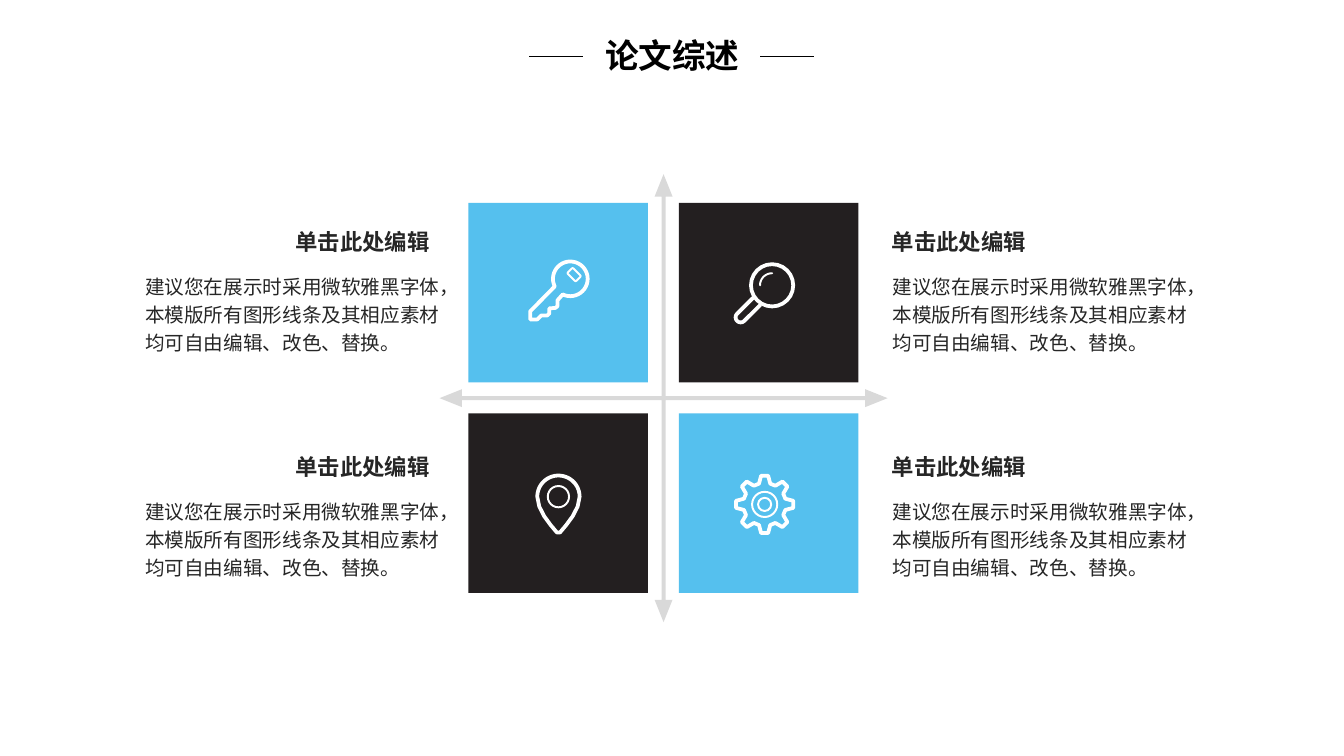
from dataclasses import dataclass
from math import cos, radians, sin

from lxml.etree import SubElement
from pptx import Presentation
from pptx.dml.color import RGBColor
from pptx.enum.shapes import MSO_CONNECTOR, MSO_SHAPE
from pptx.enum.text import MSO_AUTO_SIZE, PP_ALIGN
from pptx.oxml.ns import qn
from pptx.shapes.autoshape import Shape
from pptx.slide import Slide
from pptx.util import Pt

Point = tuple[float, float]

FONT = "Noto Sans CJK SC"
WHITE = RGBColor(0xFF, 0xFF, 0xFF)
BLACK = RGBColor(0x00, 0x00, 0x00)
BLUE = RGBColor(0x55, 0xC0, 0xEE)
DARK = RGBColor(0x23, 0x1F, 0x20)
GRAY = RGBColor(0xD9, 0xD9, 0xD9)
INK = RGBColor(0x26, 0x26, 0x26)

HEADING = "单击此处编辑"
DESCRIPTION = "建议您在展示时采用微软雅黑字体，本模版所有图形线条及其相应素材均可自由编辑、改色、替换。"

TILE_LEFT, TILE_TOP, TILE_SIZE, TILE_PITCH = 334.6, 145, 128.2, 150.3
TEXT_PITCH = 160.8
THICK, THIN = 2.7, 1.4


@dataclass(frozen=True)
class Tile:
    column: int
    row: int
    color: RGBColor


@dataclass(frozen=True)
class TextColumn:
    heading_left: float
    description_left: float
    description_width: float
    align: PP_ALIGN


@dataclass(frozen=True)
class Ring:
    x: float
    y: float
    radius: float
    weight: float


@dataclass(frozen=True)
class Outline:
    points: list[Point]
    weight: float
    closed: bool


def arc(x: float, y: float, radius: float, start: float, end: float) -> list[Point]:
    steps = 36
    angles = [radians(start + (end - start) * step / steps) for step in range(steps + 1)]
    return [(x + radius * cos(angle), y + radius * sin(angle)) for angle in angles]


def gear(x: float, y: float) -> list[Point]:
    tooth = [(-4, -14.8), (-2.5, -20.5), (2.5, -20.5), (4, -14.8)]
    turns = [radians(45 * number) for number in range(8)]
    return [
        (x + across * cos(turn) - up * sin(turn), y + across * sin(turn) + up * cos(turn))
        for turn in turns
        for across, up in tooth
    ]


def pin(x: float, y: float) -> list[Point]:
    side = [(13.68, 7.06), (10.15, 13.97), (5.54, 20.3), (1.08, 25.56)]
    right = [(x + across, y + down) for across, down in side]
    left = [(x - across, y + down) for across, down in reversed(side)]
    return arc(x, y, 15.12, 180, 360) + right + left


KEY_TEETH = [
    (378.7, 222.5), (378.7, 228.2), (383.8, 228.2), (386.6, 225.4), (391, 225.4),
    (392.4, 223.9), (392.4, 220.3), (396.7, 220), (398.2, 218.9), (398.2, 214.6),
]

RINGS = [
    Ring(551.5, 203.8, 15.1, THICK),
    Ring(398.9, 354.8, 7.6, THIN),
    Ring(546.2, 360.3, 9, THIN),
    Ring(546.2, 360.3, 4.7, THIN),
]

OUTLINES = [
    Outline(arc(407.4, 199.2, 12.4, 116, -206) + KEY_TEETH, THICK, True),
    Outline(
        [(537.9, 212.8)] + arc(529.1, 226.7, 3.6, 225, 45) + [(543.2, 217.8)],
        THICK,
        False,
    ),
    Outline(arc(551.5, 203.8, 8.6, 180, 270), THIN, False),
    Outline(pin(398.9, 354.8), THICK, True),
    Outline(gear(546.2, 360.3), THICK, True),
]

TILES = [Tile(0, 0, BLUE), Tile(1, 0, DARK), Tile(0, 1, DARK), Tile(1, 1, BLUE)]

TEXT_COLUMNS = [
    TextColumn(202.3, 96.5, 226.8, PP_ALIGN.RIGHT),
    TextColumn(630, 630.4, 230.4, PP_ALIGN.LEFT),
]


def add_solid(
    slide: Slide, kind: MSO_SHAPE, left: float, top: float, size: float, color: RGBColor
) -> Shape:
    shape = slide.shapes.add_shape(kind, Pt(left), Pt(top), Pt(size), Pt(size))
    shape.shadow.inherit = False
    shape.fill.solid()
    shape.fill.fore_color.rgb = color
    shape.line.fill.background()
    return shape


def stroke(shape: Shape, weight: float) -> None:
    shape.shadow.inherit = False
    shape.fill.background()
    shape.line.color.rgb = WHITE
    shape.line.width = Pt(weight)
    line = shape.line._get_or_add_ln()
    line.set("cap", "rnd")
    SubElement(line, qn("a:round"))


def add_ring(slide: Slide, ring: Ring) -> None:
    size = Pt(2 * ring.radius)
    left, top = Pt(ring.x - ring.radius), Pt(ring.y - ring.radius)
    stroke(slide.shapes.add_shape(MSO_SHAPE.OVAL, left, top, size, size), ring.weight)


def add_outline(slide: Slide, outline: Outline) -> None:
    vertices = [(Pt(x), Pt(y)) for x, y in outline.points]
    builder = slide.shapes.build_freeform(*vertices[0])
    builder.add_line_segments(vertices[1:], close=outline.closed)
    stroke(builder.convert_to_shape(), outline.weight)


def add_text(
    slide: Slide, text: str, left: float, top: float, width: float, height: float, *,
    size: float, color: RGBColor = INK, bold: bool = False, wrap: bool = True,
    align: PP_ALIGN = PP_ALIGN.LEFT, line_spacing: float = 1, space_before: float = 0,
) -> None:
    shape = slide.shapes.add_textbox(Pt(left), Pt(top), Pt(width), Pt(height))
    frame = shape.text_frame
    frame.word_wrap = wrap
    frame.auto_size = MSO_AUTO_SIZE.SHAPE_TO_FIT_TEXT
    paragraph = frame.paragraphs[0]
    paragraph.alignment = align
    paragraph.line_spacing = line_spacing
    paragraph.space_before = Pt(space_before)
    run = paragraph.add_run()
    run.text = text
    run.font.size = Pt(size)
    run.font.bold = bold
    run.font.color.rgb = color
    run.font.name = FONT
    SubElement(run.font._element, qn("a:ea")).set("typeface", FONT)


def add_title_rule(slide: Slide, left: float) -> None:
    rule = slide.shapes.add_connector(
        MSO_CONNECTOR.STRAIGHT, Pt(left), Pt(40.2), Pt(left + 38.5), Pt(40.2)
    )
    rule.line.color.rgb = BLACK
    rule.line.width = Pt(1)
    SubElement(rule._element.spPr, qn("a:effectLst"))


def main() -> None:
    presentation = Presentation()
    presentation.slide_width, presentation.slide_height = Pt(960), Pt(540)
    slide = presentation.slides.add_slide(presentation.slide_layouts[6])

    axes = add_solid(slide, MSO_SHAPE.QUAD_ARROW, 314, 124.4, 320, GRAY)
    for index, value in enumerate((0.009, 0.02, 0.05)):
        axes.adjustments[index] = value

    for tile in TILES:
        left, top = TILE_LEFT + tile.column * TILE_PITCH, TILE_TOP + tile.row * TILE_PITCH
        add_solid(slide, MSO_SHAPE.RECTANGLE, left, top, TILE_SIZE, tile.color)
        column = TEXT_COLUMNS[tile.column]
        offset = tile.row * TEXT_PITCH
        add_text(slide, DESCRIPTION, column.description_left, 189.4 + offset,
                 column.description_width, 68.4, size=14, line_spacing=1.2, space_before=2.8)
        add_text(slide, HEADING, column.heading_left, 159.1 + offset, 111.6, 26.6,
                 size=16, bold=True, wrap=False, align=column.align)

    for ring in RINGS:
        add_ring(slide, ring)
    for outline in OUTLINES:
        add_outline(slide, outline)
    key_window = slide.shapes.add_shape(
        MSO_SHAPE.ROUNDED_RECTANGLE, Pt(405.8), Pt(193.4), Pt(8.6), Pt(5.6)
    )
    key_window.rotation = 45
    stroke(key_window, THIN)

    add_text(slide, "论文综述", 328.3, 21.6, 303.8, 36, size=24, color=BLACK,
             bold=True, align=PP_ALIGN.CENTER)
    for left in (378, 543):
        add_title_rule(slide, left)

    presentation.save("out.pptx")


if __name__ == "__main__":
    main()
